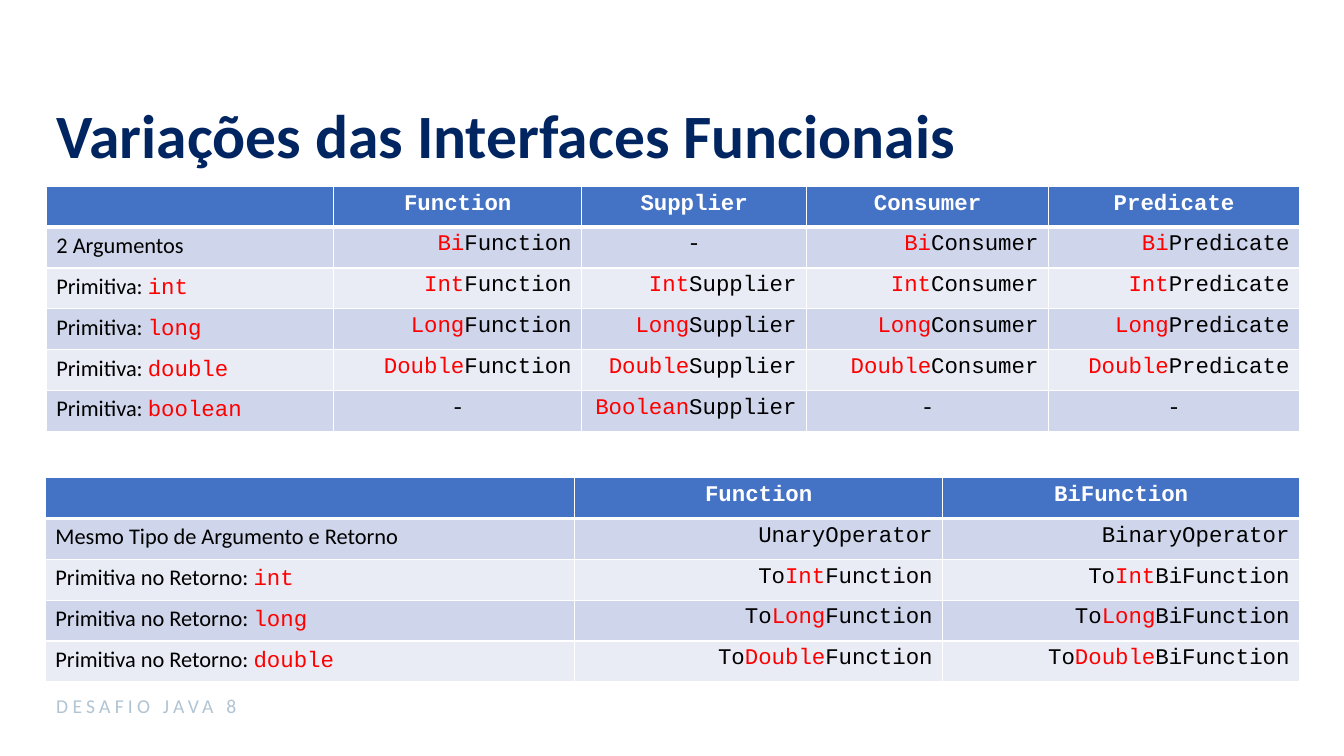
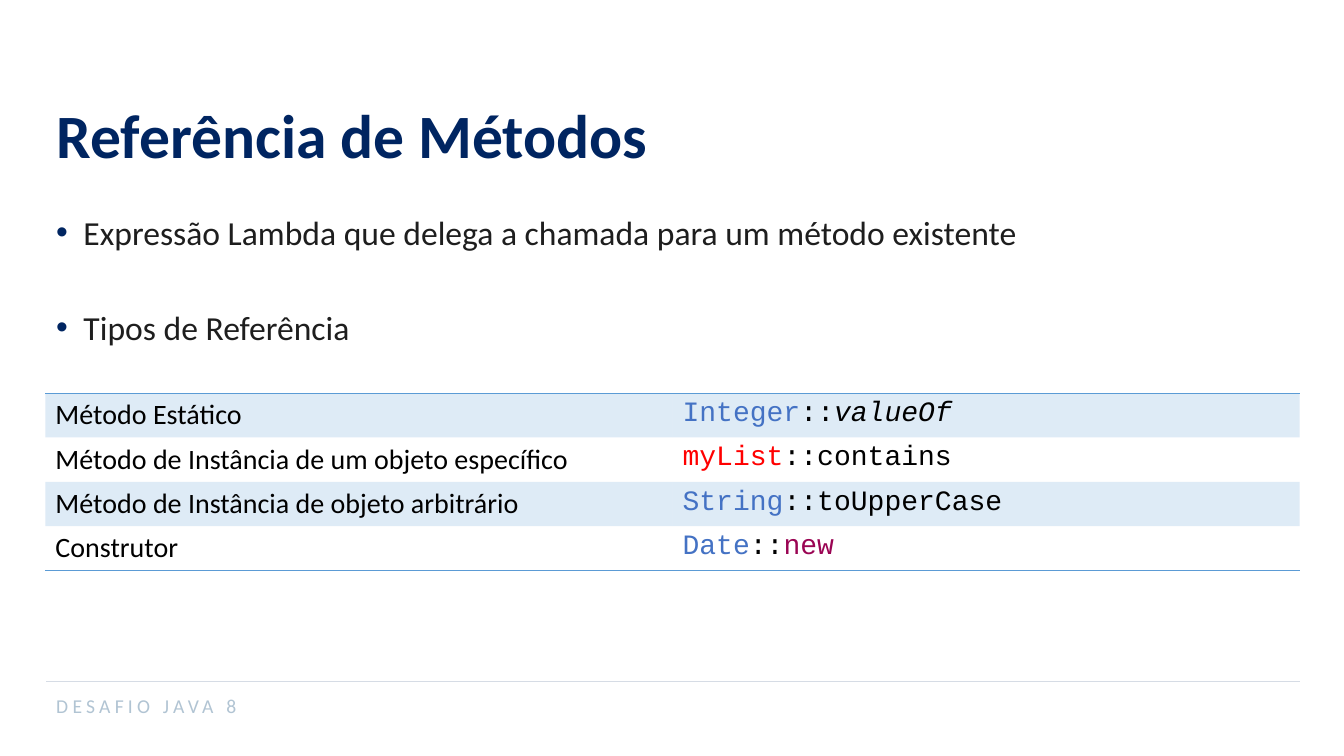
from pptx import Presentation
from pptx.dml.color import RGBColor
from pptx.enum import shapes, text
from pptx.oxml import ns
from pptx.util import Inches, Pt
from lxml import etree

SANS, MONO = "Calibri", "Courier New"
NAVY = RGBColor(0x00, 0x25, 0x61)
INK = RGBColor(0x1E, 0x1E, 0x1E)
BLACK = RGBColor(0x00, 0x00, 0x00)
WHITE = RGBColor(0xFF, 0xFF, 0xFF)
RED = RGBColor(0xFF, 0x00, 0x00)
BLUE = RGBColor(0x44, 0x72, 0xC4)
SKY = RGBColor(0x5B, 0x9B, 0xD5)
PURPLE = RGBColor(0x9A, 0x04, 0x53)
BAND_DARK = RGBColor(0xCF, 0xD5, 0xEA)
BAND_LIGHT = RGBColor(0xE9, 0xEB, 0xF5)
RULE = RGBColor(0xD6, 0xDC, 0xE5)
FOOTER = RGBColor(0xB1, 0xC4, 0xD3)

LEFT, WIDTH = 0.46, 12.43
ALIGN = text.PP_ALIGN
MIDDLE = text.MSO_ANCHOR.MIDDLE


def add_run(p, words, size=16, font=SANS, color=BLACK, bold=False, italic=False, spacing=0):
    r = p.add_run()
    r.text = words
    f = r.font
    f.size, f.name, f.bold, f.italic = Pt(size), font, bold, italic
    f.color.rgb = color
    if spacing:
        r._r.get_or_add_rPr().set("spc", str(spacing * 100))


def add_textbox(s, left, top, width, height, anchor=text.MSO_ANCHOR.TOP):
    tf = s.shapes.add_textbox(Inches(left), Inches(top), Inches(width), Inches(height)).text_frame
    tf.word_wrap = True
    tf.vertical_anchor = anchor
    return tf


# Frame shared by all slides: rule, title and footer
def add_slide(prs, title):
    s = prs.slides.add_slide(prs.slide_layouts[5])
    sp = s.shapes.title
    sp.left, sp.top, sp.width, sp.height = map(Inches, (LEFT, 0.8, WIDTH, 1.05))
    tf = sp.text_frame
    tf.auto_size = text.MSO_AUTO_SIZE.NONE
    tf.vertical_anchor = MIDDLE
    p = tf.paragraphs[0]
    p.alignment = ALIGN.LEFT
    add_run(p, title, size=44, color=NAVY, bold=True)

    rule = s.shapes.add_connector(shapes.MSO_CONNECTOR.STRAIGHT, Inches(LEFT), Inches(6.76),
                                  Inches(LEFT + WIDTH), Inches(6.76))
    rule.line.color.rgb = RULE
    rule.line.width = Pt(0.5)
    etree.SubElement(rule._element.spPr, ns.qn("a:effectLst"))

    tf = add_textbox(s, LEFT, 6.8, 7.04, 0.4, MIDDLE)
    add_run(tf.paragraphs[0], "DESAFIO JAVA 8", size=14, color=FOOTER, spacing=3)
    return s


# Tables
def set_borders(cell, **edges):
    """Each edge L, R, T, B is a (colour, points) pair; a missing edge has no line."""
    tcPr = cell._tc.get_or_add_tcPr()
    for edge in "LRTB":
        ln = etree.SubElement(tcPr, ns.qn("a:ln" + edge))
        if edge not in edges:
            etree.SubElement(ln, ns.qn("a:noFill"))
            continue
        color, points = edges[edge]
        ln.set("w", str(Pt(points)))
        fill = etree.SubElement(ln, ns.qn("a:solidFill"))
        etree.SubElement(fill, ns.qn("a:srgbClr")).set("val", str(color))


def set_fill(cell, color, alpha=100):
    cell.fill.solid()
    cell.fill.fore_color.rgb = color
    if alpha < 100:
        clr = cell._tc.tcPr.find(ns.qn("a:solidFill")).find(ns.qn("a:srgbClr"))
        etree.SubElement(clr, ns.qn("a:alpha")).set("val", str(alpha * 1000))


def add_table(s, left, top, widths, row_height, rows):
    frame = s.shapes.add_table(len(rows), len(widths), Inches(left), Inches(top),
                               Inches(sum(widths)), Inches(row_height * len(rows)))
    table = frame.table
    table.first_row = table.horz_banding = False
    for col, width in zip(table.columns, widths):
        col.width = Inches(width)
    for row in table.rows:
        row.height = Inches(row_height)
    return table


def add_variation_table(s, left, top, widths, rows):
    """Header row, then banded rows; a cell is a list of (words, colour) runs."""
    table = add_table(s, left, top, widths, 0.405, rows)
    for i, row in enumerate(rows):
        for j, runs in enumerate(row):
            cell = table.cell(i, j)
            edge = (WHITE, 1)
            set_borders(cell, L=edge, R=edge, T=(WHITE, 3) if i == 1 else edge,
                        B=(WHITE, 3) if i == 0 else edge)
            set_fill(cell, BLUE if i == 0 else BAND_DARK if i % 2 else BAND_LIGHT)
            p = cell.text_frame.paragraphs[0]
            if j:
                centred = i == 0 or runs[0][0] == "-"
                p.alignment = ALIGN.CENTER if centred else ALIGN.RIGHT
            for words, color in runs:
                font = SANS if j == 0 and color == BLACK else MONO
                add_run(p, words, font=font, color=color, bold=i == 0)


def header(*names):
    return [[]] + [[(name, WHITE)] for name in names]


def add_reference_table(s, left, top, width, rows):
    """Kind of reference on the left, coloured code on the right."""
    table = add_table(s, left, top, [width / 2] * 2, 0.44, rows)
    for i, (kind, code) in enumerate(rows):
        edges = {}
        if i == 0:
            edges["T"] = (SKY, 1)
        if i == len(rows) - 1:
            edges["B"] = (SKY, 1)
        for cell in (table.cell(i, 0), table.cell(i, 1)):
            set_borders(cell, **edges)
            if i % 2:
                cell.fill.background()
            else:
                set_fill(cell, SKY, alpha=20)
        add_run(table.cell(i, 0).text_frame.paragraphs[0], kind, size=20)
        p = table.cell(i, 1).text_frame.paragraphs[0]
        for words, fmt in code:
            add_run(p, words, size=20, font=MONO, **fmt)


def add_bullets(s, left, top, width, height, items, gap):
    tf = add_textbox(s, left, top, width, height)
    for i, item in enumerate(items):
        p = tf.paragraphs[0] if i == 0 else tf.add_paragraph()
        p.space_before = Pt(gap if i else 0)
        pPr = p._p.get_or_add_pPr()
        pPr.set("marL", str(Inches(0.27)))
        pPr.set("indent", str(-Inches(0.27)))
        clr = etree.SubElement(pPr, ns.qn("a:buClr"))
        etree.SubElement(clr, ns.qn("a:srgbClr")).set("val", str(NAVY))
        etree.SubElement(pPr, ns.qn("a:buFont")).set("typeface", "Arial")
        etree.SubElement(pPr, ns.qn("a:buChar")).set("char", "•")
        add_run(p, item, size=24, color=INK)


# Slides
def build_variations(prs):
    s = add_slide(prs, "Variações das Interfaces Funcionais")

    interfaces = ["Function", "Supplier", "Consumer", "Predicate"]
    dash = [("-", BLACK)]

    def variants(label, prefix, existing):
        return [label] + [[(prefix, RED), (name, BLACK)] if name in existing else dash
                          for name in interfaces]

    rows = [header(*interfaces),
            variants([("2 Argumentos", BLACK)], "Bi", ["Function", "Consumer", "Predicate"])]
    for kind in ("int", "long", "double", "boolean"):
        existing = ["Supplier"] if kind == "boolean" else interfaces
        rows.append(variants([("Primitiva: ", BLACK), (kind, RED)], kind.capitalize(), existing))
    add_variation_table(s, LEFT, 1.85, [2.85, 2.46, 2.23, 2.4, 2.49], rows)

    functions = ["Function", "BiFunction"]
    rows = [header(*functions),
            [[(words, BLACK)] for words in
             ("Mesmo Tipo de Argumento e Retorno", "UnaryOperator", "BinaryOperator")]]
    for kind in ("int", "long", "double"):
        rows.append([[("Primitiva no Retorno: ", BLACK), (kind, RED)]]
                    + [[("To", BLACK), (kind.capitalize(), RED), (name, BLACK)]
                       for name in functions])
    add_variation_table(s, 0.45, 4.74, [5.25, 3.65, 3.54], rows)


def build_references(prs):
    s = add_slide(prs, "Referência de Métodos")
    add_bullets(s, LEFT, 2.05, WIDTH, 5.06,
                ["Expressão Lambda que delega a chamada para um método existente",
                 "Tipos de Referência"], gap=39)
    blue = {"color": BLUE}
    add_reference_table(s, 0.45, 3.9, 12.44, [
        ("Método Estático", [("Integer", blue), ("::", {}), ("valueOf", {"italic": True})]),
        ("Método de Instância de um objeto específico",
         [("myList", {"color": RED}), ("::contains", {})]),
        ("Método de Instância de objeto arbitrário", [("String", blue), ("::toUpperCase", {})]),
        ("Construtor", [("Date", blue), ("::", {}), ("new", {"color": PURPLE})]),
    ])


def main():
    prs = Presentation()
    prs.slide_width, prs.slide_height = Inches(13.33), Inches(7.5)
    build_variations(prs)
    build_references(prs)
    prs.save("out.pptx")


if __name__ == "__main__":
    main()
